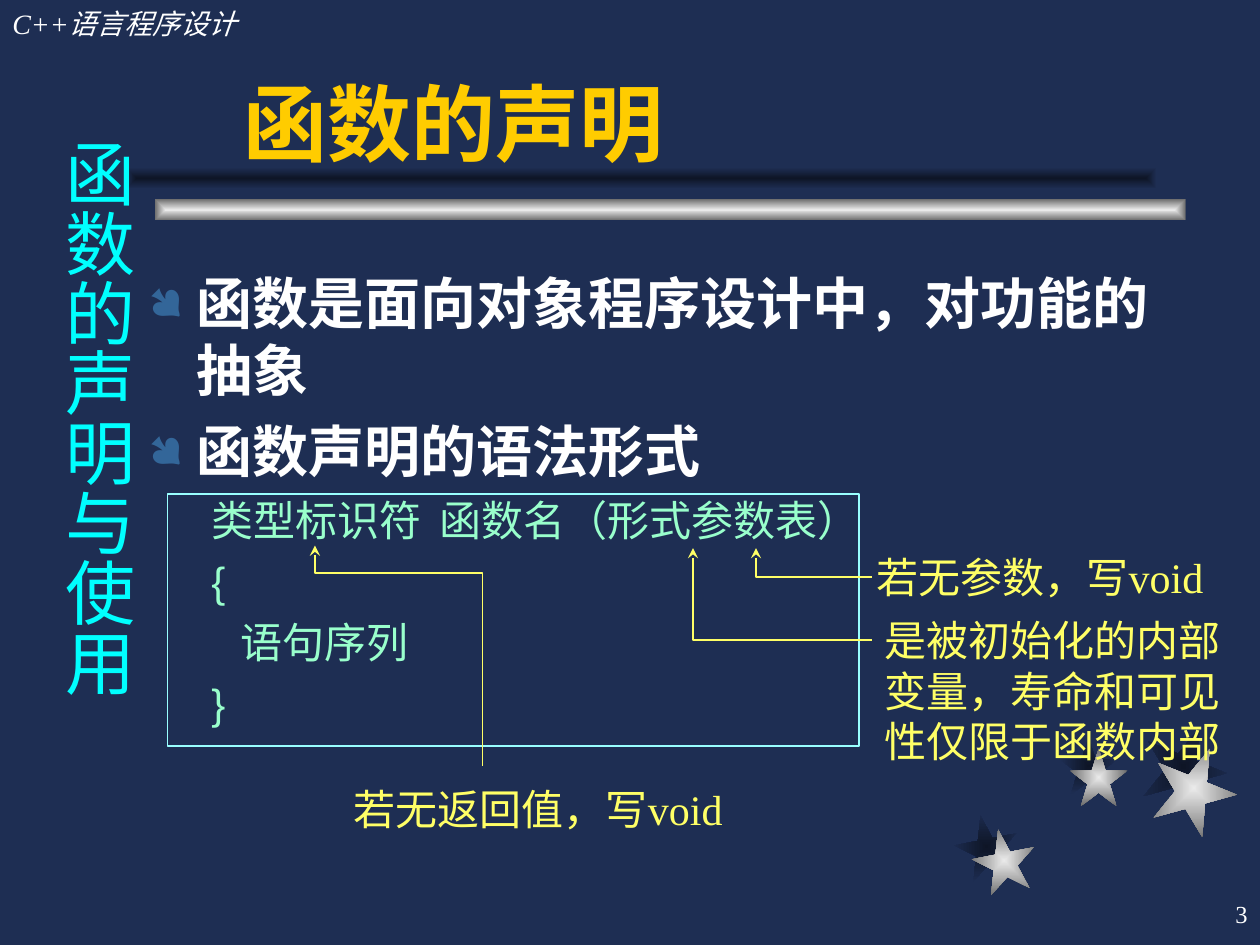
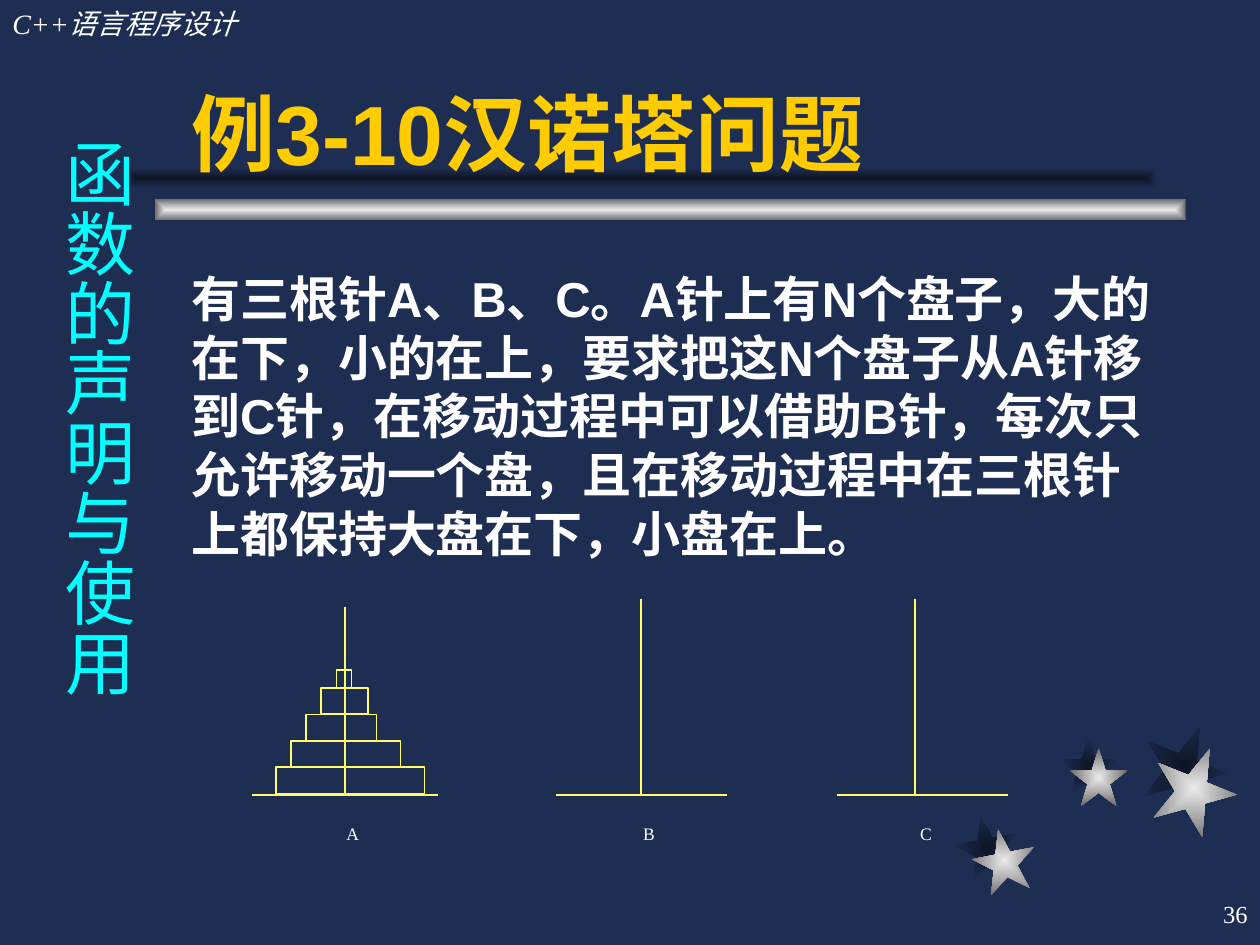
"""Build two lecture slides on C++ functions: declaration syntax and the Hanoi towers."""
from dataclasses import dataclass
from typing import Any, Optional

from lxml import etree
from pptx import Presentation
from pptx import util as u
from pptx.dml.color import RGBColor
from pptx.enum import shapes, text
from pptx.oxml import ns

NAVY = RGBColor(0x1E, 0x2E, 0x53)
SHADE = RGBColor(0x0E, 0x15, 0x26)
SILVER = RGBColor(0xEA, 0xEA, 0xEA)
GRAY = RGBColor(0x6C, 0x6C, 0x6C)
WHITE = RGBColor(0xFF, 0xFF, 0xFF)
GOLD = RGBColor(0xFF, 0xCC, 0x00)
CYAN = RGBColor(0x00, 0xFF, 0xFF)
MINT = RGBColor(0x99, 0xFF, 0xCC)
PALE_CYAN = RGBColor(0x99, 0xFF, 0xFF)
YELLOW = RGBColor(0xFF, 0xFF, 0x66)
BULLET_BLUE = RGBColor(0x33, 0x66, 0x99)
SERIF = "Times New Roman"
SANS = "Arial"
LEFT, CENTER, RIGHT = text.PP_ALIGN.LEFT, text.PP_ALIGN.CENTER, text.PP_ALIGN.RIGHT


@dataclass(frozen=True)
class Area:
    """A rectangle in inches."""

    left: float
    top: float
    width: float
    height: float

    def emu(self) -> tuple[int, int, int, int]:
        """Return the four lengths for python-pptx."""
        return (u.Inches(self.left), u.Inches(self.top),
                u.Inches(self.width), u.Inches(self.height))


@dataclass(frozen=True)
class Ornament:
    """A shape filled with a gradient that starts at its centre."""

    kind: Any
    area: Area
    inner: RGBColor
    outer: RGBColor
    turn: float = 0


@dataclass(frozen=True)
class Note:
    """A yellow remark and the arrow from it to the syntax, tip first."""

    words: str
    area: Area
    wrap: bool
    arrow: tuple[tuple[float, float], ...]


@dataclass(frozen=True)
class Peg:
    """A needle standing on its base line."""

    label: str
    base_left: float
    base_right: float
    x: float
    top: float
    label_left: float


STAR = shapes.MSO_SHAPE.STAR_5_POINT
BAR = shapes.MSO_SHAPE.RECTANGLE
ORNAMENTS = (
    Ornament(STAR, Area(7.58, 6.47, 0.5, 0.5), SHADE, NAVY, 349),
    Ornament(STAR, Area(8.41, 5.85, 0.46, 0.46), SHADE, NAVY),
    Ornament(STAR, Area(9.06, 5.75, 0.67, 0.67), SHADE, NAVY, 22),
    Ornament(STAR, Area(7.72, 6.58, 0.5, 0.5), SILVER, GRAY, 349),
    Ornament(STAR, Area(8.49, 5.94, 0.46, 0.46), SILVER, GRAY),
    Ornament(STAR, Area(9.14, 5.92, 0.67, 0.67), SILVER, GRAY, 22),
    Ornament(BAR, Area(1.23, 1.58, 8.18, 0.17), SILVER, GRAY),
    Ornament(BAR, Area(1, 1.33, 8.18, 0.17), SHADE, NAVY),
)
NOTES = (
    Note("若无参数，写void", Area(6.86, 4.33, 2.87, 0.5), False,
         ((6, 4.35), (6, 4.58), (6.92, 4.58))),
    Note("是被初始化的内部变量，寿命和可见性仅限于函数内部", Area(6.92, 4.83, 3, 1.3), True,
         ((5.5, 4.35), (5.5, 5.08), (6.92, 5.08))),
    Note("若无返回值，写void", Area(2.71, 6.17, 3.21, 0.5), False,
         ((2.5, 4.33), (2.5, 4.55), (3.83, 4.55), (3.83, 6.08))),
)
PEGS = (
    Peg("A", 2, 3.48, 2.74, 4.82, 2.43),
    Peg("B", 4.41, 5.77, 5.09, 4.75, 4.78),
    Peg("C", 6.64, 8, 7.26, 4.75, 6.98),
)
BASE_Y = 6.31
DISK_SIZES = ((1.18, 0.21), (0.87, 0.21), (0.56, 0.21), (0.37, 0.21), (0.12, 0.14))


def write(para: Any, words: str, *, size: float, color: RGBColor, font: str = SERIF,
          bold: bool = False, italic: bool = False, align: Any = LEFT, before: float = 0,
          indent: float = 0, hanging: float = 0, bullet: bool = False,
          gap: Optional[float] = None) -> None:
    """Fill a paragraph with formatted words; gap widens its first space, in points."""
    para.alignment = align
    para.space_before = u.Pt(before)
    props = para._p.get_or_add_pPr()
    props.set("marL", str(u.Inches(indent)))
    props.set("indent", str(-u.Inches(hanging)))
    props.set("hangingPunct", "0")
    if bullet:
        tint = etree.SubElement(props, ns.qn("a:buClr"))
        etree.SubElement(tint, ns.qn("a:srgbClr"), val=str(BULLET_BLUE))
        etree.SubElement(props, ns.qn("a:buSzPct"), val="80000")
        etree.SubElement(props, ns.qn("a:buFont"), typeface="Wingdings", charset="2")
        etree.SubElement(props, ns.qn("a:buChar"), char="●")
    pieces = words.partition(" ") if gap else (words,)
    for piece in filter(None, pieces):
        span = para.add_run()
        span.text = piece
        span.font.name, span.font.size = font, u.Pt(size)
        span.font.bold, span.font.italic = bold, italic
        span.font.color.rgb = color
        if gap and piece == " ":
            span.font._element.set("spc", str(round(gap * 100)))


def add_box(page: Any, area: Area, wrap: bool = True, grow: bool = False) -> Any:
    """Add an empty text box and return its text frame."""
    frame = page.shapes.add_textbox(*area.emu()).text_frame
    frame.word_wrap = wrap
    frame.auto_size = (text.MSO_AUTO_SIZE.SHAPE_TO_FIT_TEXT if grow
                       else text.MSO_AUTO_SIZE.NONE)
    return frame


def add_ornament(page: Any, ornament: Ornament) -> None:
    """Draw a borderless shape with a rectangular gradient."""
    shape = page.shapes.add_shape(ornament.kind, *ornament.area.emu())
    shape.rotation = ornament.turn
    shape.shadow.inherit = False
    shape.line.fill.background()
    shape.fill.gradient()
    for stop, color in zip(shape.fill.gradient_stops, (ornament.inner, ornament.outer)):
        stop.color.rgb = color
    gradient = shape._element.spPr.find(ns.qn("a:gradFill"))
    gradient.remove(gradient.find(ns.qn("a:lin")))
    route = etree.SubElement(gradient, ns.qn("a:path"), path="rect")
    etree.SubElement(route, ns.qn("a:fillToRect"), l="50000", t="50000", r="50000", b="50000")


def outline(shape: Any, color: RGBColor) -> None:
    """Leave a shape unfilled with a thin line and no shadow."""
    shape.shadow.inherit = False
    shape.fill.background()
    shape.line.color.rgb = color
    shape.line.width = u.Pt(1)


def add_frame(page: Any, area: Area, color: RGBColor) -> None:
    """Draw an unfilled rectangle."""
    outline(page.shapes.add_shape(BAR, *area.emu()), color)


def add_arrow(page: Any, points: tuple[tuple[float, float], ...]) -> None:
    """Draw a bent line whose first point carries the arrowhead."""
    spots = [(u.Inches(x), u.Inches(y)) for x, y in points]
    builder = page.shapes.build_freeform(*spots[0])
    builder.add_line_segments(spots[1:], close=False)
    shape = builder.convert_to_shape()
    outline(shape, YELLOW)
    etree.SubElement(shape._element.spPr.find(ns.qn("a:ln")), ns.qn("a:headEnd"), type="stealth")


def add_line(page: Any, start: tuple[float, float], end: tuple[float, float]) -> None:
    """Draw a thin yellow straight line."""
    line = page.shapes.add_connector(shapes.MSO_CONNECTOR.STRAIGHT,
                                     *(u.Inches(value) for value in start + end))
    line.line.color.rgb = YELLOW
    line.line.width = u.Pt(1)
    etree.SubElement(line._element.spPr, ns.qn("a:effectLst"))


def add_page(deck: Any, title: str, title_area: Area, number: int) -> Any:
    """Add a slide with the shared ornaments, header, side heading and number."""
    page = deck.slides.add_slide(deck.slide_layouts[5])
    for ornament in ORNAMENTS:
        add_ornament(page, ornament)

    heading = page.shapes.title
    page.shapes._spTree.append(heading._element)
    heading.left, heading.top, heading.width, heading.height = title_area.emu()
    heading.text_frame.vertical_anchor = text.MSO_ANCHOR.BOTTOM
    heading.text_frame.auto_size = text.MSO_AUTO_SIZE.NONE
    write(heading.text_frame.paragraphs[0], title, size=48, color=GOLD, font=SANS, bold=True)

    course = add_box(page, Area(0, 0, 3.08, 0.37), grow=True)
    write(course.paragraphs[0], "C++语言程序设计", size=16, color=WHITE, italic=True, before=10)

    counter = add_box(page, Area(7.92, 7, 2.08, 0.5))
    counter.vertical_anchor = text.MSO_ANCHOR.MIDDLE
    write(counter.paragraphs[0], str(number), size=14, color=WHITE, align=RIGHT)

    side = add_box(page, Area(0.3, 1, 0.86, 5.42))
    side._txBody.bodyPr.set("vert", "eaVert")
    side.margin_left = side.margin_right = u.Inches(0.05)
    side.margin_top = side.margin_bottom = u.Inches(0.1)
    write(side.paragraphs[0], "函数的声明与使用", size=40, color=CYAN, align=CENTER, before=25)
    return page


def build_declaration(deck: Any) -> None:
    """Build the slide on the syntax of a function declaration."""
    page = add_page(deck, "函数的声明", Area(1.83, 0.25, 7.42, 1.17), 3)
    body = add_box(page, Area(1.08, 2.08, 8.42, 4.67))
    topic = dict(size=32, color=WHITE, bold=True, before=8, indent=0.38, hanging=0.38, bullet=True)
    code = dict(size=24, color=MINT, before=6, indent=0.81, hanging=0.31)
    lines = (
        ("函数是面向对象程序设计中，对功能的抽象", topic),
        ("函数声明的语法形式", topic),
        ("类型标识符 函数名（形式参数表）", code | dict(gap=5)),
        ("{", code),
        ("语句序列", code | dict(indent=1.04)),
        ("}", code),
    )
    for index, (words, style) in enumerate(lines):
        para = body.add_paragraph() if index else body.paragraphs[0]
        write(para, words, font=SANS, **style)

    add_frame(page, Area(1.33, 3.92, 5.49, 2), PALE_CYAN)
    for note in NOTES:
        add_arrow(page, note.arrow)
        remark = add_box(page, note.area, wrap=note.wrap, grow=True)
        write(remark.paragraphs[0], note.words, size=24, color=YELLOW)


def build_hanoi(deck: Any) -> None:
    """Build the slide on the Hanoi towers."""
    page = add_page(deck, "例3-10汉诺塔问题", Area(1.42, 0.25, 7.83, 1.25), 36)
    body = add_box(page, Area(1.42, 2.08, 7.92, 4.5))
    write(body.paragraphs[0],
          "有三根针A、B、C。A针上有N个盘子，大的在下，小的在上，要求把这N个盘子从A针移到C针，"
          "在移动过程中可以借助B针，每次只允许移动一个盘，且在移动过程中在三根针上都保持大盘在下，"
          "小盘在上。", size=28, color=WHITE, font=SANS, bold=True, before=7)

    for peg in PEGS:
        add_line(page, (peg.base_left, BASE_Y), (peg.base_right, BASE_Y))
        add_line(page, (peg.x, BASE_Y), (peg.x, peg.top))
        label = add_box(page, Area(peg.label_left, 6.48, 0.74, 0.27), grow=True)
        write(label.paragraphs[0], peg.label, size=10, color=WHITE, align=CENTER)

    top = 6.3
    for level, (width, height) in enumerate(DISK_SIZES):
        top -= height
        add_frame(page, Area(2.19 + 0.12 * level, top, width, height), YELLOW)


def main() -> None:
    """Create the deck and save it."""
    deck = Presentation()
    deck.slide_width, deck.slide_height = u.Inches(10), u.Inches(7.5)
    backdrop = deck.slide_master.background.fill
    backdrop.solid()
    backdrop.fore_color.rgb = NAVY
    build_declaration(deck)
    build_hanoi(deck)
    deck.save("out.pptx")


if __name__ == "__main__":
    main()
